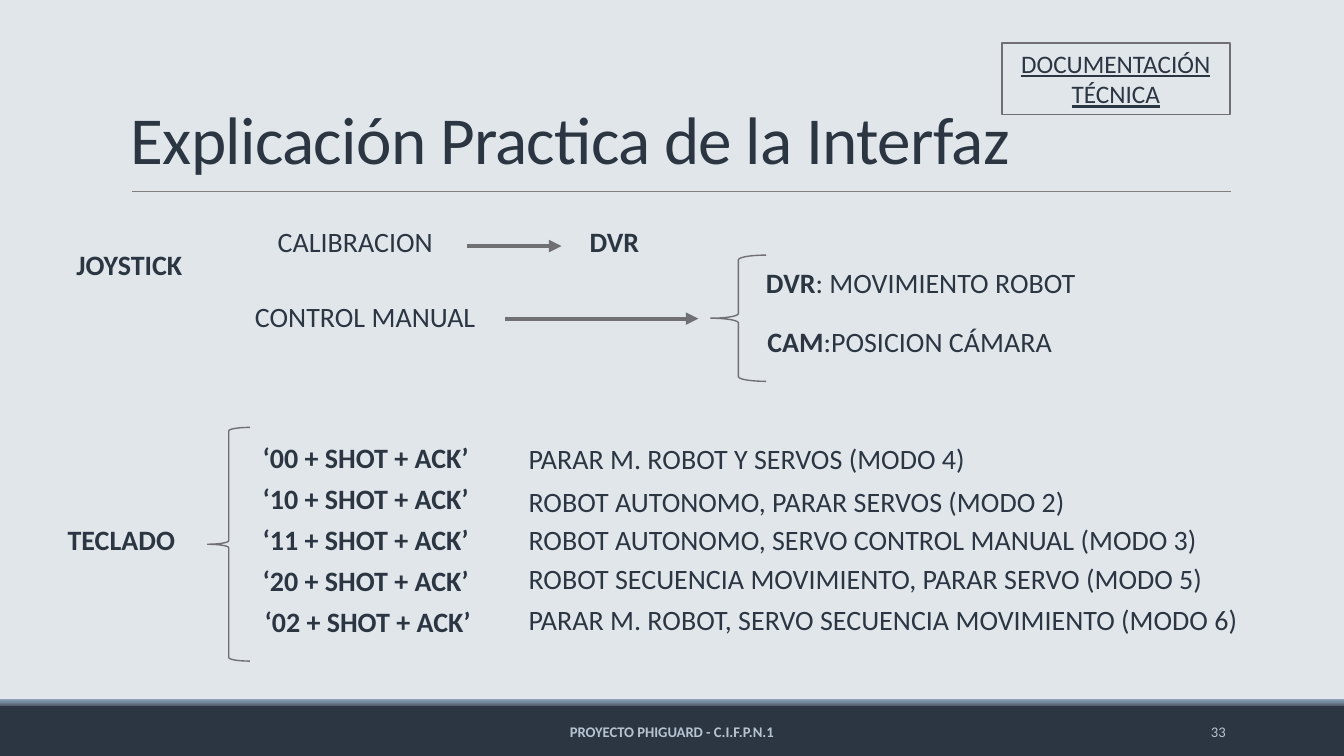
"""Build the slide explaining the robot interface commands."""
import copy

import pptx
import pptx.dml.color
import pptx.enum.dml
import pptx.enum.shapes
import pptx.enum.text
import pptx.oxml
import pptx.oxml.ns
import pptx.util

Cm, Pt = pptx.util.Cm, pptx.util.Pt
RGBColor = pptx.dml.color.RGBColor
SHAPE = pptx.enum.shapes.MSO_SHAPE
ALIGN = pptx.enum.text.PP_ALIGN
ANCHOR = pptx.enum.text.MSO_ANCHOR

NAVY = RGBColor(0x2B, 0x36, 0x42)
GREY = RGBColor(0x6F, 0x6F, 0x74)
RULE = RGBColor(0x80, 0x80, 0x80)
PALE = RGBColor(0xB7, 0xC3, 0xD0)
BACKGROUND = RGBColor(0xE1, 0xE6, 0xEB)
BAND = [RGBColor(0x53, 0x60, 0x6E), RGBColor(0x76, 0x89, 0x9C), RGBColor(0x8C, 0xA3, 0xB9)]

WIDTH, HEIGHT = 33.87, 19.05
FOOTER_TOP, BAND_HEIGHT = 17.78, 0.17
LABEL_HEIGHT, HANGING = 1.12, 0.25
CODE_TOP, CODE_PITCH = 11.08, 1.03

TITLE = "Explicación Practica de la Interfaz"
BADGE = "DOCUMENTACIÓN TÉCNICA"
FOOTER = "PROYECTO PHIGUARD - C.I.F.P.N.1"
PAGE = "33"
LABELS = [
    (0.74, 13.13, 4.39, "TECLADO", ""),
    (1.14, 6.2, 3.99, "JOYSTICK", ""),
    (6.2, 5.64, 5.26, "", "CALIBRACION"),
    (5.23, 7.52, 7.7, "", "CONTROL MANUAL"),
    (12.73, 5.64, 5.26, "DVR", ""),
    (18.95, 6.65, 8.26, "DVR", ": MOVIMIENTO ROBOT"),
    (18.95, 8.15, 7.7, "CAM", ":POSICION CÁMARA"),
]
COMMANDS = [
    (6.2, "‘00 + SHOT + ACK’", 11.1, "PARAR M. ROBOT Y SERVOS (MODO 4)"),
    (6.2, "‘10 + SHOT + ACK’", 12.17, "ROBOT AUTONOMO, PARAR SERVOS (MODO 2)"),
    (6.2, "‘11 + SHOT + ACK’", 13.13, "ROBOT AUTONOMO, SERVO CONTROL MANUAL (MODO 3)"),
    (6.2, "‘20 + SHOT + ACK’", 14.12, "ROBOT SECUENCIA MOVIMIENTO, PARAR SERVO (MODO 5)"),
    (6.25, "‘02 + SHOT + ACK’", 15.16, "PARAR M. ROBOT, SERVO SECUENCIA MOVIMIENTO (MODO 6)"),
]
BRACES = [(17.91, 6.43, 1.4, 3.18), (5.23, 10.77, 1.07, 5.89)]
ARROWS = [(11.76, 14.15, 6.2), (12.73, 17.6, 8.03)]


def style(p, size, color, align=ALIGN.LEFT):
    p.alignment = align
    p.font.name = "Calibri"
    p.font.size = Pt(size)
    p.font.color.rgb = color


def add_text(s, box, text, size, color, align=ALIGN.LEFT, anchor=ANCHOR.MIDDLE):
    tf = s.shapes.add_textbox(*map(Cm, box)).text_frame
    tf.word_wrap = True
    tf.vertical_anchor = anchor
    p = tf.paragraphs[0]
    p.text = text
    style(p, size, color, align)
    return p


def add_label(s, x, y, width, bold, plain, align=ALIGN.CENTER):
    p = add_text(s, (x, y, width, LABEL_HEIGHT), "", 20, NAVY, align, ANCHOR.TOP)
    p.line_spacing = 0.9
    for text, weight in ((bold, True), (plain, False)):
        if text:
            r = p.add_run()
            r.text = text
            r.font.bold = weight
    return p


def add_label_box(s, x, y, width, bold, plain, align=ALIGN.CENTER):
    add_label(s, x, y, width, bold, plain, align)
    tf = s.shapes[-1].text_frame
    tf.margin_left = Cm(HANGING if align == ALIGN.CENTER else 0)
    tf.margin_right = 0


def add_shape(s, kind, box, fill=None, line=None, weight=1):
    sp = s.shapes.add_shape(kind, *map(Cm, box))
    sp.shadow.inherit = False
    if fill is None:
        sp.fill.background()
    else:
        sp.fill.solid()
        sp.fill.fore_color.rgb = fill
    if line is None:
        sp.line.fill.background()
    else:
        sp.line.color.rgb = line
        sp.line.width = Pt(weight)
    return sp


def add_line(s, x1, x2, y, color, weight, arrow=False):
    line = s.shapes.add_connector(
        pptx.enum.shapes.MSO_CONNECTOR.STRAIGHT, Cm(x1), Cm(y), Cm(x2), Cm(y))
    line.line.color.rgb = color
    line.line.width = Pt(weight)
    if arrow:
        tail = pptx.oxml.parse_xml(
            '<a:tailEnd %s type="triangle"/>' % pptx.oxml.ns.nsdecls("a"))
        line.line._get_or_add_ln().append(tail)
    line._element.spPr.append(
        pptx.oxml.parse_xml("<a:effectLst %s/>" % pptx.oxml.ns.nsdecls("a")))


def add_band(s):
    sp = add_shape(s, SHAPE.RECTANGLE, (0, FOOTER_TOP - BAND_HEIGHT, WIDTH, BAND_HEIGHT))
    sp.fill.gradient()
    sp.fill.gradient_angle = 90
    first = sp._element.spPr.xpath(".//a:gs")[0]
    first.addnext(copy.deepcopy(first))
    for stop, color, position in zip(sp.fill.gradient_stops, BAND, (0, 0.5, 1)):
        stop.color.rgb = color
        stop.position = position


def main():
    prs = pptx.Presentation()
    prs.slide_width, prs.slide_height = Cm(WIDTH), Cm(HEIGHT)
    s = prs.slides.add_slide(prs.slide_layouts[6])
    s.background.fill.solid()
    s.background.fill.fore_color.rgb = BACKGROUND

    add_shape(s, SHAPE.RECTANGLE, (0, FOOTER_TOP, WIDTH, HEIGHT - FOOTER_TOP), NAVY)
    add_band(s)
    add_line(s, 3.33, 31.01, 4.83, RULE, 0.5)

    p = add_text(s, (3.05, 0.58, 27.94, 4.04), TITLE, 48, NAVY, anchor=ANCHOR.BOTTOM)
    p.line_spacing = 0.85
    p.runs[0].font._element.set("spc", "-50")
    p = add_text(s, (10.24, 17.93, 13.39, 1.02), FOOTER, 10.5, PALE, ALIGN.CENTER)
    p.font.bold = True
    add_text(s, (27.51, 17.93, 3.63, 1.02), PAGE, 10.5, PALE, ALIGN.RIGHT)

    tf = add_shape(s, SHAPE.RECTANGLE, (25.25, 1.09, 5.74, 1.8), line=GREY, weight=1.25).text_frame
    tf.word_wrap = True
    tf.vertical_anchor = ANCHOR.TOP
    p = tf.paragraphs[0]
    p.text = BADGE
    style(p, 18, NAVY, ALIGN.CENTER)
    p.runs[0].font.underline = True

    for label in LABELS:
        add_label_box(s, *label)
    for i, (x, code, mode_top, mode) in enumerate(COMMANDS):
        add_label_box(s, x, CODE_TOP + i * CODE_PITCH, 5.79, code, "")
        add_label_box(s, 13.32, mode_top, 19.46, "", mode, ALIGN.LEFT)
    for brace in BRACES:
        add_shape(s, SHAPE.LEFT_BRACE, brace, line=GREY)
    for x1, x2, y in ARROWS:
        add_line(s, x1, x2, y, GREY, 3, arrow=True)

    prs.save("out.pptx")


if __name__ == "__main__":
    main()
